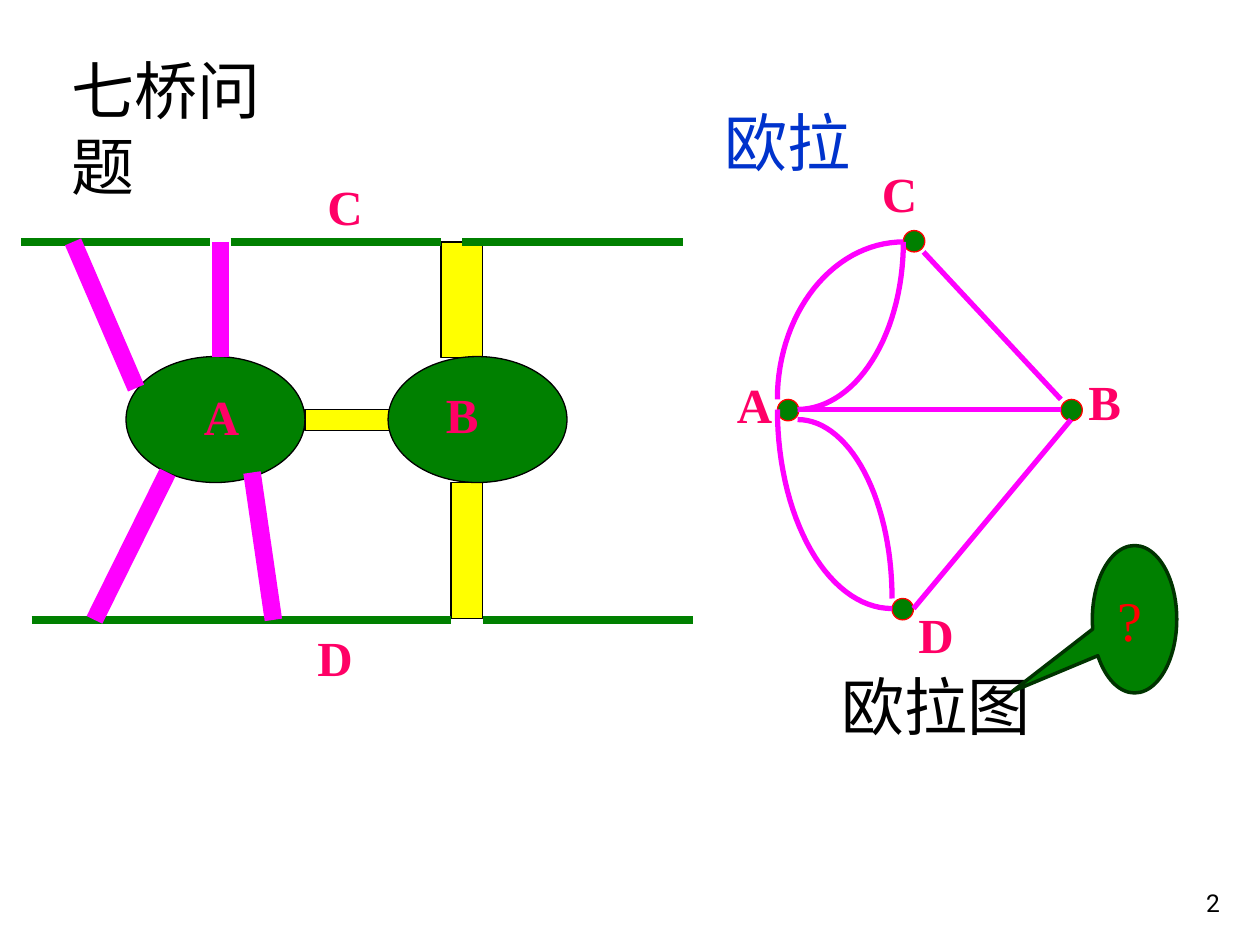
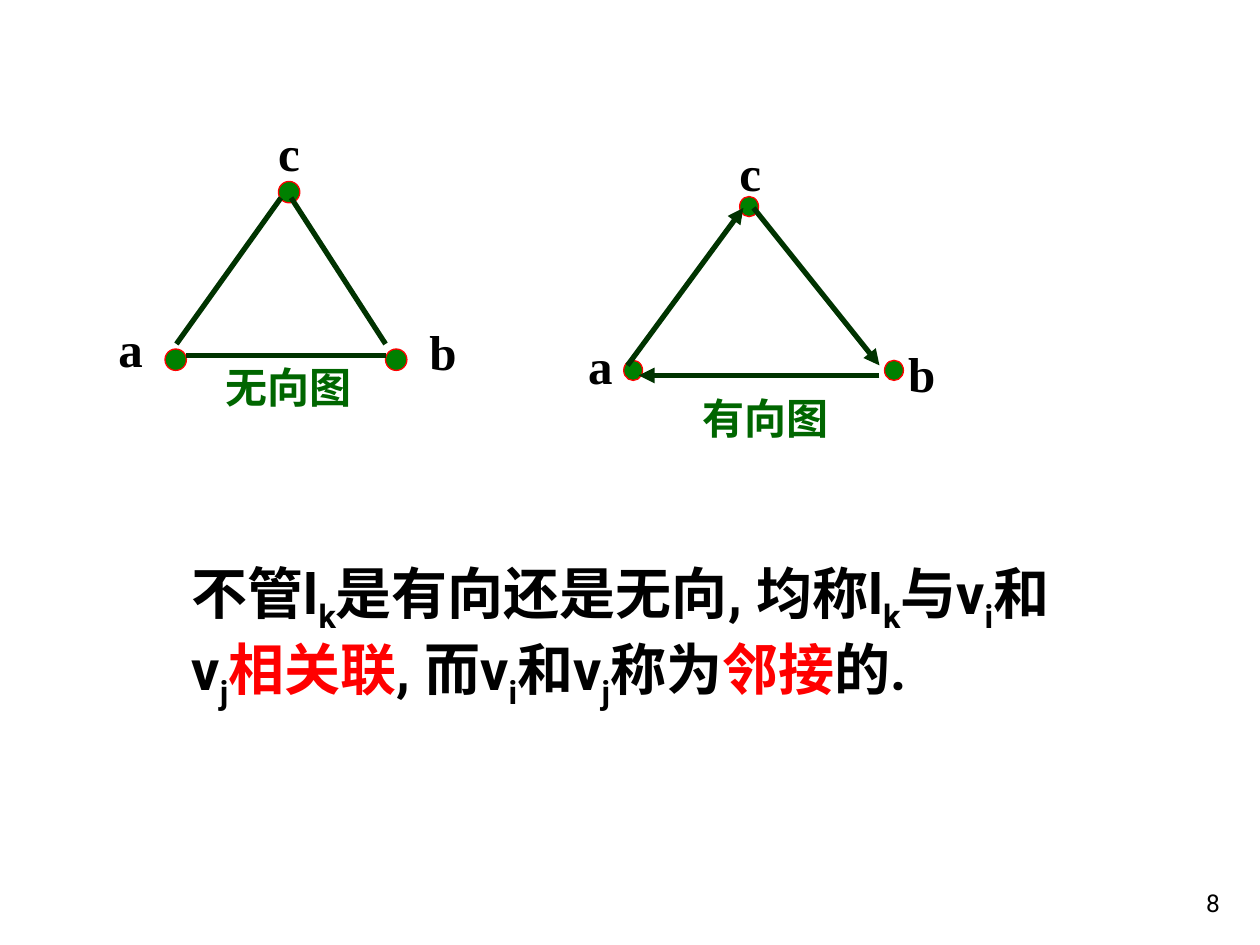
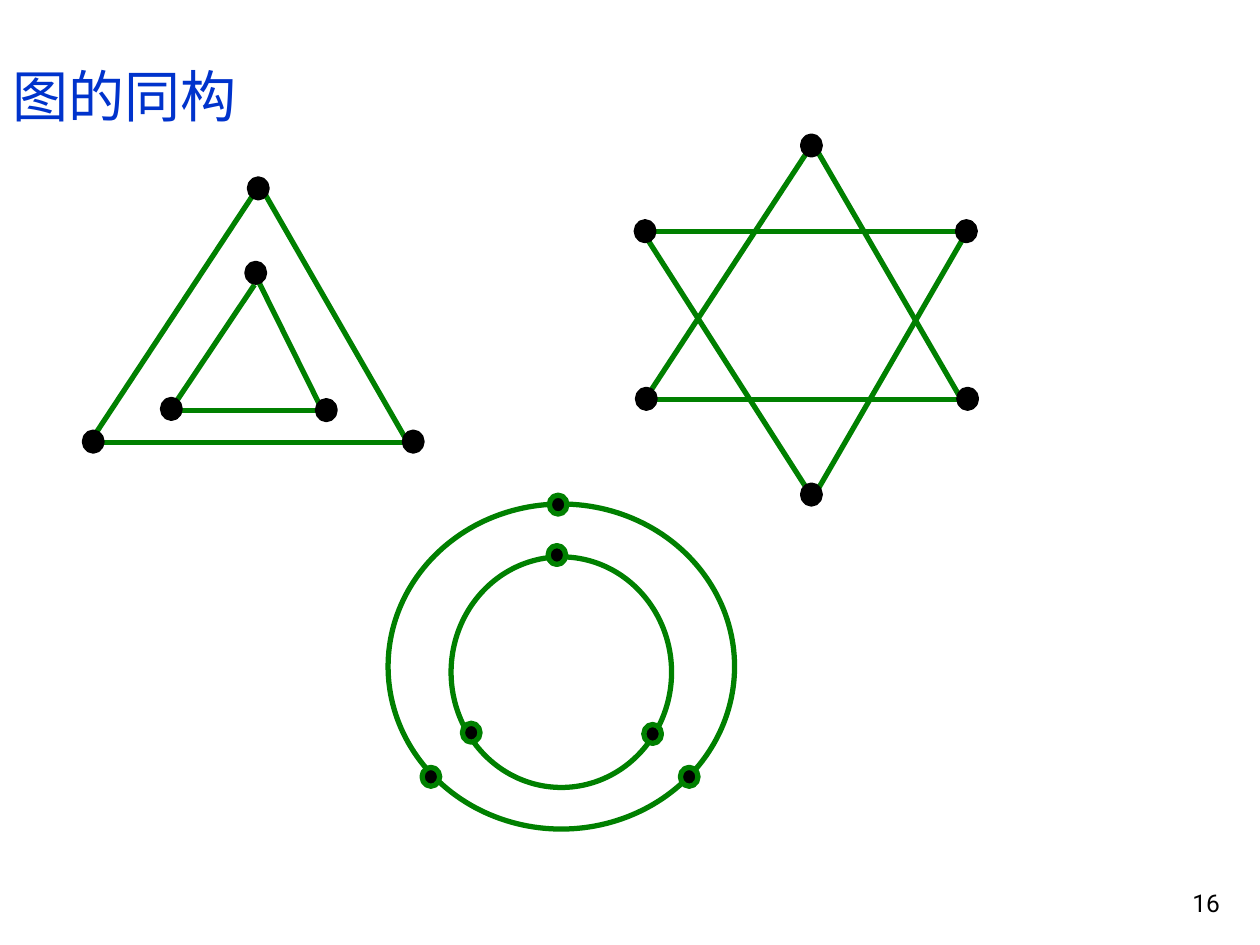
import math
import pptx
import pptx.util
import pptx.dml.color
import pptx.enum.shapes
import pptx.enum.text
import pptx.oxml.ns
from lxml import etree

Inches, Pt = pptx.util.Inches, pptx.util.Pt
RGBColor = pptx.dml.color.RGBColor
SHAPE = pptx.enum.shapes.MSO_SHAPE
ALIGN = pptx.enum.text.PP_ALIGN
ANCHOR = pptx.enum.text.MSO_ANCHOR
qn = pptx.oxml.ns.qn

BLACK = RGBColor(0x00, 0x00, 0x00)
BLUE = RGBColor(0x00, 0x33, 0xCC)
GREEN = RGBColor(0x00, 0x80, 0x00)
DARK = RGBColor(0x00, 0x33, 0x00)
LEAF = RGBColor(0x00, 0x66, 0x00)
RED = RGBColor(0xFF, 0x00, 0x00)
ROSE = RGBColor(0xFF, 0x00, 0x66)
PINK = RGBColor(0xFF, 0x00, 0xFF)
YELLOW = RGBColor(0xFF, 0xFF, 0x00)
SANS, SERIF = "Roboto", "Times New Roman"

BANKS = [
    (1.92, [(0.17, 1.67), (1.83, 3.5), (3.67, 5.42)]),
    (4.92, [(0.25, 1.92), (1.92, 3.58), (3.83, 5.5)]),
]
ISLES = [(1, 2.83, 1.42, 1), (3.08, 2.83, 1.42, 1)]
DECKS = [(3.5, 1.92, 0.33, 0.92), (2.42, 3.25, 0.67, 0.17), (3.58, 3.83, 0.25, 1.08)]
SPANS = [
    (0.58, 1.92, 1.08, 3.08),
    (1.75, 2.83, 1.75, 1.92),
    (2, 3.75, 2.17, 4.92),
    (1.33, 3.75, 0.75, 4.92),
]
TOWN = [("C", 2.5, 1.35), ("D", 2.42, 4.93), ("A", 1.52, 3.02), ("B", 3.44, 3)]

EULER = {
    "dots": [(7.08, 4.75), (8.42, 3.17), (6.17, 3.17), (7.17, 1.83)],
    "names": [("C", 6.9, 1.25), ("D", 7.19, 4.75), ("A", 5.75, 2.92), ("B", 8.54, 2.9)],
    "edges": [(8.42, 3.17, 7.33, 2), (6.33, 3.25, 8.42, 3.25), (7.25, 4.83, 8.5, 3.33)],
}
ARCS = [
    (7.17, 1.92, 6.17, 3.17),
    (6.33, 3.33, 7.08, 4.75),
    (6.33, 3.25, 7.17, 1.92),
    (7.08, 4.83, 6.17, 3.25),
]

PLAIN = {
    "dots": [(3.06, 2.77), (1.31, 2.77), (2.21, 1.44)],
    "names": [("c", 2.11, 0.92), ("a", 0.84, 2.48), ("b", 3.31, 2.5)],
    "edges": [(1.4, 2.73, 2.23, 1.57), (2.31, 1.57, 3.06, 2.73), (1.48, 2.82, 3.06, 2.82)],
}
ARROWED = {
    "dots": [(7.02, 2.86), (4.95, 2.86), (5.87, 1.56)],
    "names": [("c", 5.77, 1.08), ("a", 4.57, 2.61), ("b", 7.11, 2.68)],
    "edges": [(4.98, 2.9, 5.9, 1.65), (5.98, 1.65, 6.98, 2.9), (6.98, 2.98, 5.07, 2.98)],
}
CLAIM = [
    ("不管l", ""), ("k", "sub"), ("是有向还是无向, 均称l", ""), ("k", "sub"),
    ("与v", ""), ("i", "sub"), ("和v", ""), ("j", "sub"), ("相关联", "key"),
    (", 而v", ""), ("i", "sub"), ("和v", ""), ("j", "sub"), ("称为", ""),
    ("邻接", "key"), ("的.", ""),
]

STAR = {
    "edges": [
        (6.43, 3.92, 5.12, 1.87), (7.63, 3.17, 6.47, 1.17), (7.68, 1.83, 6.43, 3.99),
        (5.15, 1.84, 7.68, 1.84), (5.12, 3.17, 6.43, 1.17), (5.16, 3.17, 7.69, 3.17),
    ],
    "dots": [(7.6, 1.76), (5.05, 1.76), (7.61, 3.09), (5.06, 3.09), (6.37, 1.08), (6.37, 3.85)],
}
NESTED = {
    "edges": [
        (1.35, 3.26, 2.02, 2.26), (3.23, 3.5, 2.08, 1.5), (2.02, 2.17, 2.6, 3.34),
        (1.35, 3.26, 2.6, 3.26), (0.72, 3.5, 2.04, 1.5), (0.77, 3.51, 3.3, 3.51),
    ],
    "dots": [(2.52, 3.18), (1.96, 2.09), (3.21, 3.43), (0.67, 3.43), (1.98, 1.42), (1.29, 3.17)],
}
RINGS = [(3.58, 4.42, 1.75, 1.83), (3.08, 4, 2.75, 2.58)]
BEADS = [(5.11, 5.75), (4.35, 4.33), (5.4, 6.09), (3.35, 6.09), (4.36, 3.93), (3.67, 5.74)]


def write(par, text, size, color, font=SANS, bold=False):
    run = par.add_run()
    run.text = text
    run.font.name = font
    run.font.size = Pt(size)
    run.font.bold = bold
    run.font.color.rgb = color
    return run


def place(shape, box):
    shape.left, shape.top, shape.width, shape.height = map(Inches, box)


def label(slide, box, text, size, color, font=SANS, bold=False, wrap=True):
    shape = slide.shapes.add_textbox(*map(Inches, box))
    shape.text_frame.word_wrap = wrap
    write(shape.text_frame.paragraphs[0], text, size, color, font, bold)
    return shape


def title(slide, box, text, size, color):
    shape = slide.shapes.title
    place(shape, box)
    frame = shape.text_frame
    frame.auto_size = pptx.enum.text.MSO_AUTO_SIZE.NONE
    frame.word_wrap = False
    frame.vertical_anchor = ANCHOR.TOP
    frame.paragraphs[0].alignment = ALIGN.LEFT
    write(frame.paragraphs[0], text, size, color)


def number(slide, text):
    frame = label(slide, (7.7, 6.83, 2.08, 0.5), text, 14, BLACK).text_frame
    frame.vertical_anchor = ANCHOR.BOTTOM
    frame.paragraphs[0].alignment = ALIGN.RIGHT


def paint(shape, fill, color, width):
    shape.shadow.inherit = False
    if fill is None:
        shape.fill.background()
    else:
        shape.fill.solid()
        shape.fill.fore_color.rgb = fill
    shape.line.color.rgb = color
    shape.line.width = Pt(width)


def draw(slide, kind, box, fill, color, width=0.75):
    shape = slide.shapes.add_shape(kind, *map(Inches, box))
    paint(shape, fill, color, width)
    return shape


def line(slide, ends, color, width=3, arrow=False):
    edge = slide.shapes.add_connector(
        pptx.enum.shapes.MSO_CONNECTOR.STRAIGHT, *map(Inches, ends))
    edge.line.color.rgb = color
    edge.line.width = Pt(width)
    props = edge._element.spPr
    if arrow:
        etree.SubElement(props.find(qn("a:ln")), qn("a:tailEnd"), type="triangle")
    etree.SubElement(props, qn("a:effectLst"))


def curve(slide, x, y, far, low, steps=30):
    turns = [math.pi / 2 * i / steps for i in range(steps + 1)]
    spots = [(Inches(x + (far - x) * math.sin(t)), Inches(low + (y - low) * math.cos(t)))
             for t in turns]
    pen = slide.shapes.build_freeform(*spots[0])
    pen.add_line_segments(spots[1:], close=False)
    paint(pen.convert_to_shape(), None, PINK, 3)


def dots(slide, spots, size, fill, color, width=0.75):
    for spot in spots:
        draw(slide, SHAPE.OVAL, spot + size, fill, color, width)


def names(slide, items, color):
    for text, x, y in items:
        label(slide, (x, y, 0.48, 0.57), text, 28, color, SERIF, True, False)


def edges(slide, items, color, width=3, arrow=False):
    for ends in items:
        line(slide, ends, color, width, arrow)


def bridges(deck):
    slide = deck.slides.add_slide(deck.slide_layouts[5])
    title(slide, (0.47, 0.36, 2.2, 0.7), "七桥问题", 36, BLACK)
    label(slide, (5.65, 0.77, 2.18, 0.7), "欧拉", 36, BLUE)
    dots(slide, EULER["dots"], (0.17, 0.17), GREEN, RED)
    names(slide, EULER["names"], ROSE)
    edges(slide, EULER["edges"], PINK)
    for arc in ARCS:
        curve(slide, *arc)
    for box in DECKS:
        draw(slide, SHAPE.RECTANGLE, box, YELLOW, BLACK)
    for y, parts in BANKS:
        edges(slide, [(start, y, end, y) for start, end in parts], GREEN, 4.25)
    for box in ISLES:
        draw(slide, SHAPE.OVAL, box, GREEN, BLACK)
    names(slide, TOWN, ROSE)
    edges(slide, SPANS, PINK, 10)
    label(slide, (6.58, 5.25, 2.93, 0.7), "欧拉图", 36, BLACK)
    call = draw(slide, SHAPE.OVAL_CALLOUT, (8.67, 4.33, 0.67, 1.17), GREEN, DARK, 2)
    call.adjustments[0], call.adjustments[1] = -1.45, 0.49
    call.text_frame.vertical_anchor = ANCHOR.MIDDLE
    par = call.text_frame.paragraphs[0]
    par.alignment = ALIGN.LEFT
    write(par, "?", 32, RED, SERIF)
    number(slide, "2")


def links(deck):
    slide = deck.slides.add_slide(deck.slide_layouts[1])
    top = slide.shapes.title._element
    top.getparent().remove(top)
    for graph, size, arrow in ((PLAIN, (0.17, 0.17), False), (ARROWED, (0.15, 0.16), True)):
        names(slide, graph["names"], BLACK)
        dots(slide, graph["dots"], size, GREEN, RED)
        edges(slide, graph["edges"], DARK, 3, arrow)
    label(slide, (1.69, 2.82, 2.23, 0.5), "无向图", 24, LEAF, bold=True)
    label(slide, (5.48, 3.07, 2.02, 0.5), "有向图", 24, LEAF, bold=True)
    body = slide.placeholders[1]
    place(body, (1.42, 4.38, 7.13, 1.85))
    body.text_frame.auto_size = pptx.enum.text.MSO_AUTO_SIZE.NONE
    par = body.text_frame.paragraphs[0]
    props = par._p.get_or_add_pPr()
    props.set("marL", "0")
    props.set("indent", "0")
    etree.SubElement(props, qn("a:buNone"))
    par.space_before = Pt(0)
    for text, mark in CLAIM:
        run = write(par, text, 32, RED if mark == "key" else BLACK, bold=True)
        if mark == "sub":
            run._r.get_or_add_rPr().set("baseline", "-25000")
    number(slide, "8")


def shapes(deck):
    slide = deck.slides.add_slide(deck.slide_layouts[5])
    title(slide, (0, 0.44, 3.52, 0.64), "图的同构", 32, BLUE)
    size = (0.14, 0.15)
    for graph in (STAR, NESTED):
        edges(slide, graph["edges"], GREEN)
        dots(slide, graph["dots"], size, BLACK, BLACK, 3)
    for box in RINGS:
        draw(slide, SHAPE.OVAL, box, None, GREEN, 3)
    dots(slide, BEADS, size, BLACK, GREEN, 3)
    number(slide, "16")


def main():
    deck = pptx.Presentation()
    deck.slide_width, deck.slide_height = Inches(10), Inches(7.5)
    for build in (bridges, links, shapes):
        build(deck)
    deck.save("out.pptx")


if __name__ == "__main__":
    main()
